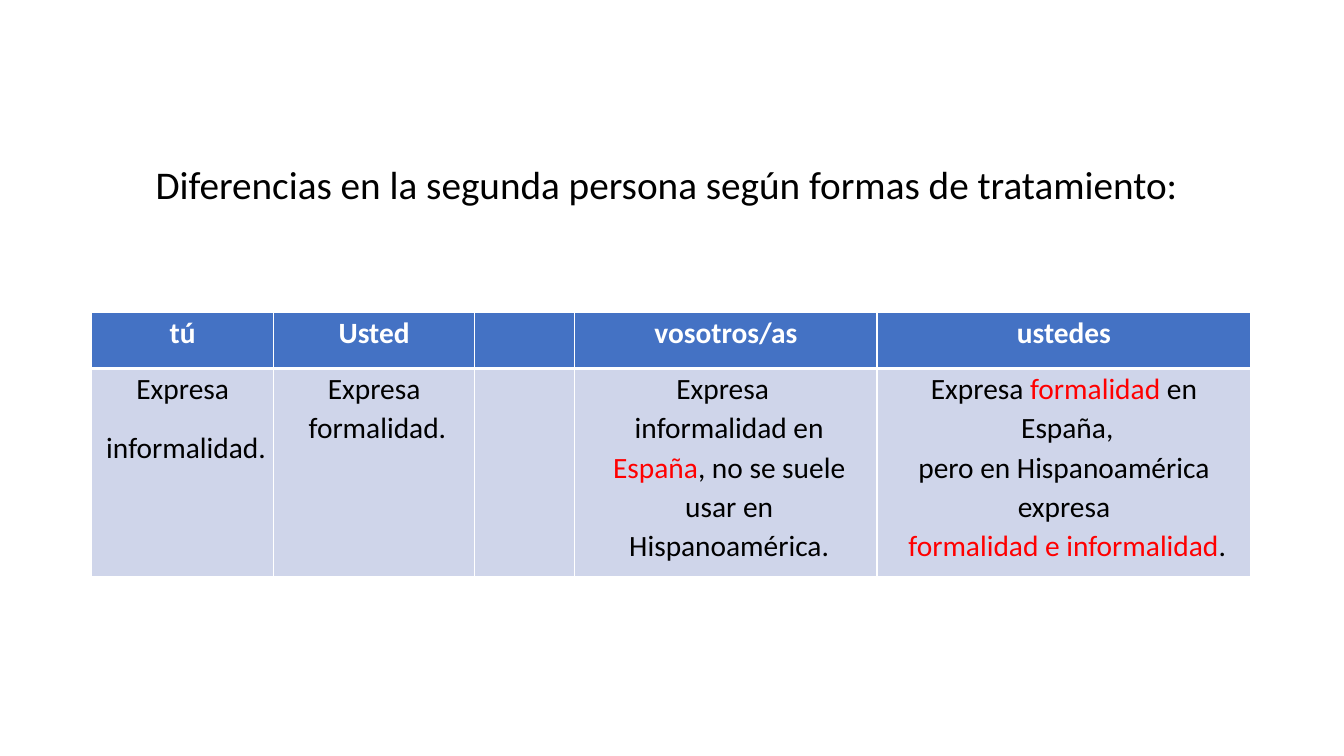
import pptx
import pptx.util
import pptx.dml.color
import pptx.enum.text
import pptx.oxml
import pptx.oxml.ns

Pt = pptx.util.Pt
RGB = pptx.dml.color.RGBColor
ALIGN = pptx.enum.text.PP_ALIGN
ANCHOR = pptx.enum.text.MSO_ANCHOR

WHITE = RGB(255, 255, 255)
BLACK = RGB(0, 0, 0)
RED = RGB(255, 0, 0)
BLUE = RGB(0x44, 0x72, 0xC4)
PALE = RGB(0xCF, 0xD5, 0xEA)

WIDTHS = [130, 143.5, 71.5, 216, 267]
HEIGHTS = [40, 149]
HEADS = ["tú", "Usted", "", "vosotros/as", "ustedes"]
BODIES = [
    [["Expresa"], ["\u00a0informalidad."]],
    [["Expresa"], ["\u00a0formalidad."]],
    [],
    [["Expresa\u00a0"], ["\u00a0informalidad en"],
     ["\u00a0", ("España", RED), ", no se suele"],
     ["\u00a0usar en"], ["\u00a0Hispanoamérica."]],
    [["Expresa ", ("formalidad ", RED), "en"], ["\u00a0España,"],
     ["\u00a0pero en Hispanoamérica "], ["expresa"],
     ["\u00a0", ("formalidad e informalidad", RED), "."]],
]


def add_run(para, text, size, color, bold=False):
    run = para.add_run()
    run.text = text
    font = run.font
    font.name = "Calibri"
    font.size = Pt(size)
    font.bold = bold
    font.color.rgb = color


def add_title(slide, text):
    box = slide.shapes.add_textbox(Pt(62), Pt(106), Pt(828), Pt(102))
    frame = box.text_frame
    frame.word_wrap = True
    frame.vertical_anchor = ANCHOR.BOTTOM
    frame.margin_bottom = Pt(60)
    para = frame.paragraphs[0]
    para.alignment = ALIGN.CENTER
    add_run(para, text, 28, BLACK)


def add_edge(cell, side, width):
    props = cell._tc.get_or_add_tcPr()
    props.append(pptx.oxml.parse_xml(
        f'<a:ln{side} {pptx.oxml.ns.nsdecls("a")} w="{Pt(width)}">'
        f'<a:solidFill><a:srgbClr val="{WHITE}"/></a:solidFill></a:ln{side}>'))


def fill_cell(cell, lines, color, back, bold, base):
    for side in "LRT":
        add_edge(cell, side, base if side == "T" else 1)
    add_edge(cell, "B", 3 if bold else 1)
    cell.fill.solid()
    cell.fill.fore_color.rgb = back
    cell.margin_left = cell.margin_right = Pt(4.32)
    cell.margin_top = cell.margin_bottom = 0
    frame = cell.text_frame
    for i, line in enumerate(lines):
        para = frame.add_paragraph() if i else frame.paragraphs[0]
        para.alignment = ALIGN.CENTER
        para.line_spacing = Pt(28)
        for part in line:
            text, tint = (part, color) if isinstance(part, str) else part
            add_run(para, text, 21, tint, bold)


def add_grid(slide):
    shape = slide.shapes.add_table(
        2, len(WIDTHS), Pt(65.5), Pt(223.2), Pt(sum(WIDTHS)), Pt(sum(HEIGHTS)))
    table = shape.table
    for row, height in zip(table.rows, HEIGHTS):
        row.height = Pt(height)
    for i, (width, head, body) in enumerate(zip(WIDTHS, HEADS, BODIES)):
        table.columns[i].width = Pt(width)
        lines = [[head]] if head else []
        fill_cell(table.cell(0, i), lines, WHITE, BLUE, True, 1)
        fill_cell(table.cell(1, i), body, BLACK, PALE, False, 3)
    table.cell(1, 0).text_frame.paragraphs[1].space_before = Pt(14)


def main():
    deck = pptx.Presentation()
    deck.slide_width = Pt(960)
    deck.slide_height = Pt(540)
    slide = deck.slides.add_slide(deck.slide_layouts[6])
    add_title(slide, "Diferencias en la segunda persona según formas de tratamiento:")
    add_grid(slide)
    deck.save("out.pptx")


main()
